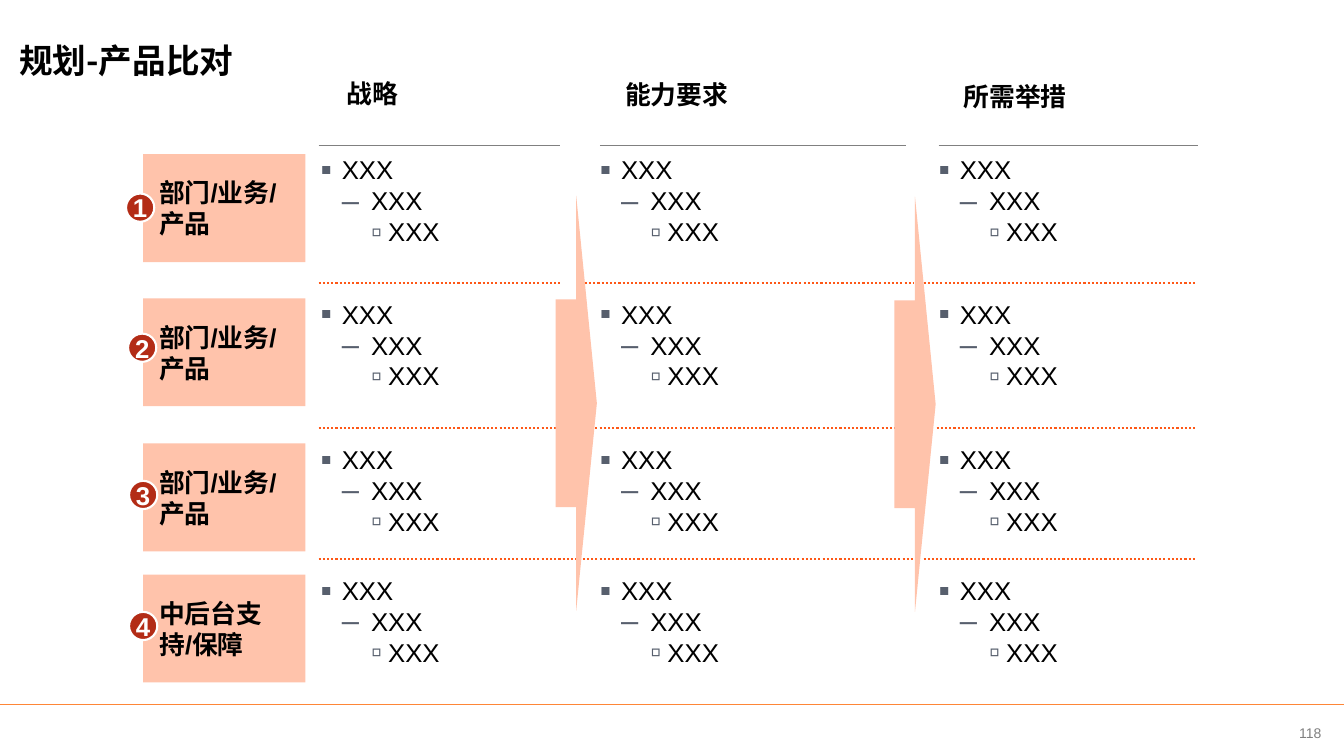
import pptx
import pptx.util
import pptx.dml.color
import pptx.enum.dml
import pptx.enum.shapes
import pptx.enum.text
import pptx.oxml
import pptx.oxml.ns

Inches, Pt = pptx.util.Inches, pptx.util.Pt
RGB = pptx.dml.color.RGBColor.from_string
SHAPE = pptx.enum.shapes.MSO_SHAPE
ANCHOR = pptx.enum.text.MSO_ANCHOR
ALIGN = pptx.enum.text.PP_ALIGN
FIT = pptx.enum.text.MSO_AUTO_SIZE
DOTS = pptx.enum.dml.MSO_LINE.ROUND_DOT
NS = pptx.oxml.ns.nsdecls("a")


class Theme:
    latin, asian = "Arial", "Noto Sans CJK SC"
    black, white, gray = RGB("000000"), RGB("FFFFFF"), RGB("808080")
    peach, red = RGB("FFC3AB"), RGB("B32C16")
    orange, amber = RGB("FE5817"), RGB("FE8637")
    bullet = "575F6D"
    title, body, small = Pt(24), Pt(18.4), Pt(10)


def write(shape, text, color=Theme.black, size=Theme.body, bold=False,
          font=Theme.latin, align=ALIGN.LEFT, anchor=ANCHOR.TOP, pads=(0, 0, 0, 0)):
    """Fill a shape with text, one paragraph a line, and return its frame."""
    frame = shape.text_frame
    frame.text = text
    frame.word_wrap, frame.vertical_anchor = True, anchor
    frame.margin_left, frame.margin_top, frame.margin_right, frame.margin_bottom = map(Inches, pads)
    for para in frame.paragraphs:
        para.alignment = align
        for run in para.runs:
            run.font.name, run.font.size, run.font.bold = font, size, bold
            run.font.color.rgb = color
            latin = run.font._element.find(pptx.oxml.ns.qn("a:latin"))
            latin.addnext(pptx.oxml.parse_xml(f'<a:ea {NS} typeface="{Theme.asian}"/>'))
    return frame


def rule(left, right, top, color, width, dash=None):
    """Draw a horizontal line."""
    line = slide.shapes.add_connector(
        pptx.enum.shapes.MSO_CONNECTOR.STRAIGHT,
        Inches(left), Inches(top), Inches(right), Inches(top))
    line.line.color.rgb, line.line.width = color, Pt(width)
    if dash:
        line.line.dash_style = dash
    line._element.spPr.append(pptx.oxml.parse_xml(f"<a:effectLst {NS}/>"))


deck = pptx.Presentation()
deck.slide_width, deck.slide_height = Inches(13.33), Inches(7.5)
slide = deck.slides.add_slide(deck.slide_layouts[5])
shapes = slide.shapes

# Title and footer
title = shapes.title
title.left, title.top, title.width, title.height = map(Inches, (0.19, 0.2, 11.96, 0.79))
frame = write(title, "规划-产品比对", size=Theme.title, bold=True,
              font=Theme.asian, anchor=ANCHOR.MIDDLE)
frame.auto_size = FIT.NONE
rule(0, 13.33, 6.99, Theme.amber, 1)
number = shapes.add_textbox(*map(Inches, (12.66, 7.04, 0.67, 0.46)))
write(number, "118", Theme.gray, Theme.small, align=ALIGN.CENTER, anchor=ANCHOR.MIDDLE)

# Dotted dividers between rows: top, then the span in each column
dividers = [
    (2.81, [(3.16, 5.55), (5.8, 9.06), (9.16, 11.87)]),
    (4.25, [(3.16, 5.55), (5.78, 9.06), (9.29, 11.87)]),
    (5.55, [(3.16, 5.76), (5.78, 9.06), (9.16, 11.87)]),
]
for top, spans in dividers:
    for left, right in spans:
        rule(left, right, top, Theme.orange, 1.5, DOTS)

# Arrows between columns
for left, top in [(5.51, 1.94), (8.87, 1.95)]:
    arrow = shapes.add_shape(SHAPE.RIGHT_ARROW, *map(Inches, (left, top, 0.41, 4.12)))
    arrow.shadow.inherit = False
    arrow.fill.solid()
    arrow.fill.fore_color.rgb = Theme.peach
    arrow.line.fill.background()

# Row labels with numbered badges: top, badge left, badge top, label
unit = "部门/业务/\n产品"
rows = [
    (1.53, 1.25, 1.92, unit),
    (2.96, 1.27, 3.31, unit),
    (4.4, 1.28, 4.77, unit),
    (5.7, 1.28, 6.07, "中后台支持/保障"),
]
for index, (top, left, high, label) in enumerate(rows, 1):
    box = shapes.add_shape(SHAPE.RECTANGLE, *map(Inches, (1.42, top, 1.61, 1.07)))
    box.shadow.inherit = False
    box.fill.solid()
    box.fill.fore_color.rgb = Theme.peach
    box.line.fill.background()
    write(box, label, bold=True, anchor=ANCHOR.MIDDLE, pads=(0.16, 0.08, 0.08, 0.08))

    badge = shapes.add_shape(SHAPE.OVAL, *map(Inches, (left, high, 0.28, 0.28)))
    badge.shadow.inherit = False
    badge.fill.solid()
    badge.fill.fore_color.rgb = Theme.red
    badge.line.color.rgb, badge.line.width = Theme.white, Pt(1.5)
    frame = write(badge, str(index), Theme.white, bold=True,
                  align=ALIGN.CENTER, anchor=ANCHOR.MIDDLE)
    frame.word_wrap = False

# Columns: heading, its box, then left and width of the rule and the cells
columns = [
    ("战略", (3.44, 0.81, 1.44, 0.28), (3.16, 5.55), (3.18, 2.39)),
    ("能力要求", (6.2, 0.82, 3.04, 0.28), (5.95, 8.99), (5.95, 3.04)),
    ("所需举措", (9.56, 0.84, 2.57, 0.28), (9.31, 11.88), (9.31, 2.57)),
]
# Bullet levels: sign, size in percent, text indent, hanging indent
levels = [("▪", 125, 0.21, 0.21), ("–", 120, 0.5, 0.29), ("▫", 120, 0.67, 0.17)]
for name, area, span, (left, width) in columns:
    head = shapes.add_textbox(*map(Inches, area))
    frame = write(head, name, bold=True)
    frame.auto_size = FIT.SHAPE_TO_FIT_TEXT
    frame.paragraphs[0].line_spacing = 0.9
    rule(*span, 1.44, Theme.gray, 0.75)

    for top, *_ in rows:
        cell = shapes.add_textbox(*map(Inches, (left, top, width, 0.95)))
        frame = write(cell, "\n".join(["XXX"] * len(levels)))
        frame.auto_size = FIT.SHAPE_TO_FIT_TEXT
        for depth, (sign, scale, indent, hang) in enumerate(levels, 1):
            para = frame.paragraphs[depth - 1]
            para.level = depth
            props = para._p.get_or_add_pPr()
            props.set("marL", str(Inches(indent)))
            props.set("indent", str(-Inches(hang)))
            for part in (
                f'<a:buClr {NS}><a:srgbClr val="{Theme.bullet}"/></a:buClr>',
                f'<a:buSzPct {NS} val="{scale * 1000}"/>',
                f'<a:buFont {NS} typeface="{Theme.latin}"/>',
                f'<a:buChar {NS} char="{sign}"/>',
            ):
                props.append(pptx.oxml.parse_xml(part))

deck.save("out.pptx")
